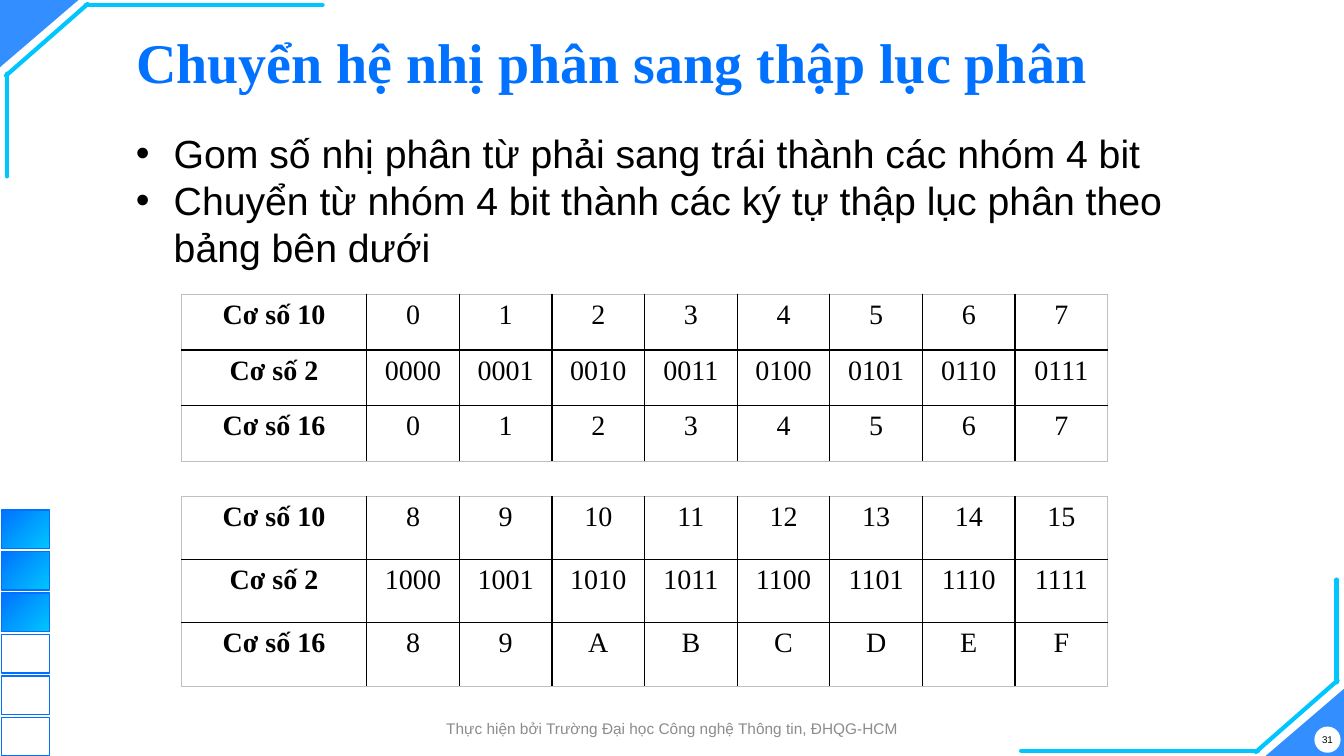
from pptx import Presentation
from pptx.dml.color import RGBColor
from pptx.enum.shapes import MSO_CONNECTOR, MSO_SHAPE as SHP
from pptx.enum.text import MSO_ANCHOR as ANC, PP_ALIGN as AL
from pptx.oxml.ns import qn
from pptx.util import Pt
from lxml.etree import SubElement

BLUE = RGBColor(0x00, 0x72, 0xFF)
CYAN = RGBColor(0x00, 0xC6, 0xFF)
BLACK = RGBColor(0, 0, 0)
WHITE = RGBColor(0xFF, 0xFF, 0xFF)
GREY = RGBColor(0x8C, 0x8C, 0x8C)
PALE = RGBColor(0xC0, 0xC0, 0xC0)
SANS, SERIF = "Arial", "Times New Roman"

TITLE = dict(name=SERIF, size=Pt(40), bold=True)
BODY = dict(name=SANS, size=Pt(28))
CELL = dict(name=SERIF, size=Pt(20), bold=False)
HEAD = dict(CELL, bold=True)
FOOTER = dict(name=SANS, size=Pt(11))
NUMBER = dict(name=SANS, size=Pt(7))

BRACKETS = [
    (230.4, 3.6, 61.2, 3.6), (62.6, 2.9, 4.3, 54), (5, 126, 5, 52.6),
    (729.4, 536.4, 898.6, 536.4), (897.1, 537.1, 955.4, 486), (954.7, 414, 954.7, 487.4),
]
BULLETS = [
    "Gom số nhị phân từ phải sang trái thành các nhóm 4 bit",
    "Chuyển từ nhóm 4 bit thành các ký tự thập lục phân theo bảng bên dưới",
]


def style(p, text, fmt, color, align=AL.LEFT):
    r = p.add_run()
    r.text = text
    for key, value in fmt.items():
        setattr(r.font, key, value)
    r.font.color.rgb = color
    p.alignment = align


def add_shape(s, kind, x, y, w, h, fill=None):
    sp = s.shapes.add_shape(kind, Pt(x), Pt(y), Pt(w), Pt(h))
    sp.shadow.inherit = False
    sp.line.fill.background()
    if fill is None:
        sp.fill.background()
    else:
        sp.fill.solid()
        sp.fill.fore_color.rgb = fill
    return sp


def add_corner(s, x, y, rotation):
    sp = add_shape(s, SHP.ISOSCELES_TRIANGLE, x, y, 56, 48, BLUE)
    sp.adjustments[0] = 1
    sp.rotation = rotation
    clr = next(sp._element.spPr.iter(qn("a:srgbClr")))
    SubElement(clr, qn("a:alpha"), val="80000")


def add_bracket_line(s, x1, y1, x2, y2):
    cxn = s.shapes.add_connector(MSO_CONNECTOR.STRAIGHT, Pt(x1), Pt(y1), Pt(x2), Pt(y2))
    cxn.line.color.rgb = CYAN
    cxn.line.width = Pt(3)
    cxn.line._get_or_add_ln().set("cap", "rnd")
    SubElement(cxn._element.spPr, qn("a:effectLst"))


def add_progress(s, total, done):
    for i in range(total):
        sp = add_shape(s, SHP.RECTANGLE, 1.2, 364.3 + 29.66 * i, 34.4, 27.4)
        sp.line.color.rgb = BLUE
        sp.line.width = Pt(1)
        if i < done:
            sp.fill.gradient()
            sp.fill.gradient_angle = 315
            for stop, color in zip(sp.fill.gradient_stops, (BLUE, CYAN)):
                stop.color.rgb = color


def add_text(s, x, y, w, h, anchor):
    tf = s.shapes.add_textbox(Pt(x), Pt(y), Pt(w), Pt(h)).text_frame
    tf.word_wrap = True
    tf.vertical_anchor = anchor
    return tf


def add_label(s, x, y, w, h, text, fmt, color):
    tf = add_text(s, x, y, w, h, ANC.MIDDLE)
    tf.margin_left = tf.margin_right = 0
    style(tf.paragraphs[0], text, fmt, color, AL.CENTER)


def add_bullets(s, x, y, w, h, items):
    tf = add_text(s, x, y, w, h, ANC.TOP)
    for i, item in enumerate(items):
        p = tf.add_paragraph() if i else tf.paragraphs[0]
        pPr = p._p.get_or_add_pPr()
        pPr.set("marL", str(Pt(27)))
        pPr.set("indent", str(-Pt(27)))
        SubElement(pPr, qn("a:buFont"), typeface=SANS)
        SubElement(pPr, qn("a:buChar"), char="•")
        style(p, item, BODY, BLACK)


def set_borders(cell, outer):
    tcPr = cell._tc.get_or_add_tcPr()
    for side in ("L", "R", "T", "B"):
        width, color = (0.5, PALE) if side in outer else (1, BLACK)
        ln = SubElement(tcPr, qn("a:ln" + side), w=str(Pt(width)))
        SubElement(SubElement(ln, qn("a:solidFill")), qn("a:srgbClr"), val=str(color))


def add_base_table(s, y, row_h, numbers):
    rows = [
        ["Cơ số 10"] + [str(n) for n in numbers],
        ["Cơ số 2"] + [f"{n:04b}" for n in numbers],
        ["Cơ số 16"] + [f"{n:X}" for n in numbers],
    ]
    n_rows, n_cols = len(rows), len(rows[0])
    tbl = s.shapes.add_table(n_rows, n_cols, Pt(129.6), Pt(y), Pt(661.8), Pt(row_h * n_rows)).table
    tbl.first_row = tbl.horz_banding = False
    for j, col in enumerate(tbl.columns):
        col.width = Pt(66.18 if j else 132.36)
    for i, values in enumerate(rows):
        tbl.rows[i].height = Pt(row_h)
        for j, value in enumerate(values):
            cell = tbl.cell(i, j)
            style(cell.text_frame.paragraphs[0], value, CELL if j else HEAD, BLACK, AL.CENTER)
            edges = {"L": j == 0, "R": j == n_cols - 1, "T": i == 0, "B": i == n_rows - 1}
            set_borders(cell, [side for side, on in edges.items() if on])
            cell.fill.background()


def set_title(s, text):
    sp = s.shapes.title
    sp.left, sp.top, sp.width, sp.height = Pt(90), Pt(11.5), Pt(828), Pt(70.6)
    tf = sp.text_frame
    tf.vertical_anchor = ANC.MIDDLE
    p = tf.paragraphs[0]
    p.line_spacing = 0.9
    style(p, text, TITLE, BLUE)


def main():
    prs = Presentation()
    prs.slide_width, prs.slide_height = Pt(960), Pt(540)
    s = prs.slides.add_slide(prs.slide_layouts[5])
    add_corner(s, 0, 0, 180)
    add_corner(s, 904, 492, 0)
    for ends in BRACKETS:
        add_bracket_line(s, *ends)
    add_shape(s, SHP.OVAL, 938.9, 519, 18.7, 18.7, WHITE)
    add_progress(s, 6, 3)
    set_title(s, "Chuyển hệ nhị phân sang thập lục phân")
    add_label(s, 936.7, 516.5, 23, 23, "31", NUMBER, BLACK)
    add_label(s, 287.3, 509.8, 385.9, 20.9,
              "Thực hiện bởi Trường Đại học Công nghệ Thông tin, ĐHQG-HCM", FOOTER, GREY)
    add_base_table(s, 210.2, 39.8, range(8))
    add_base_table(s, 354.7, 45.1, range(8, 16))
    add_bullets(s, 90, 88.6, 756.7, 108.7, BULLETS)
    prs.save("out.pptx")


if __name__ == "__main__":
    main()
